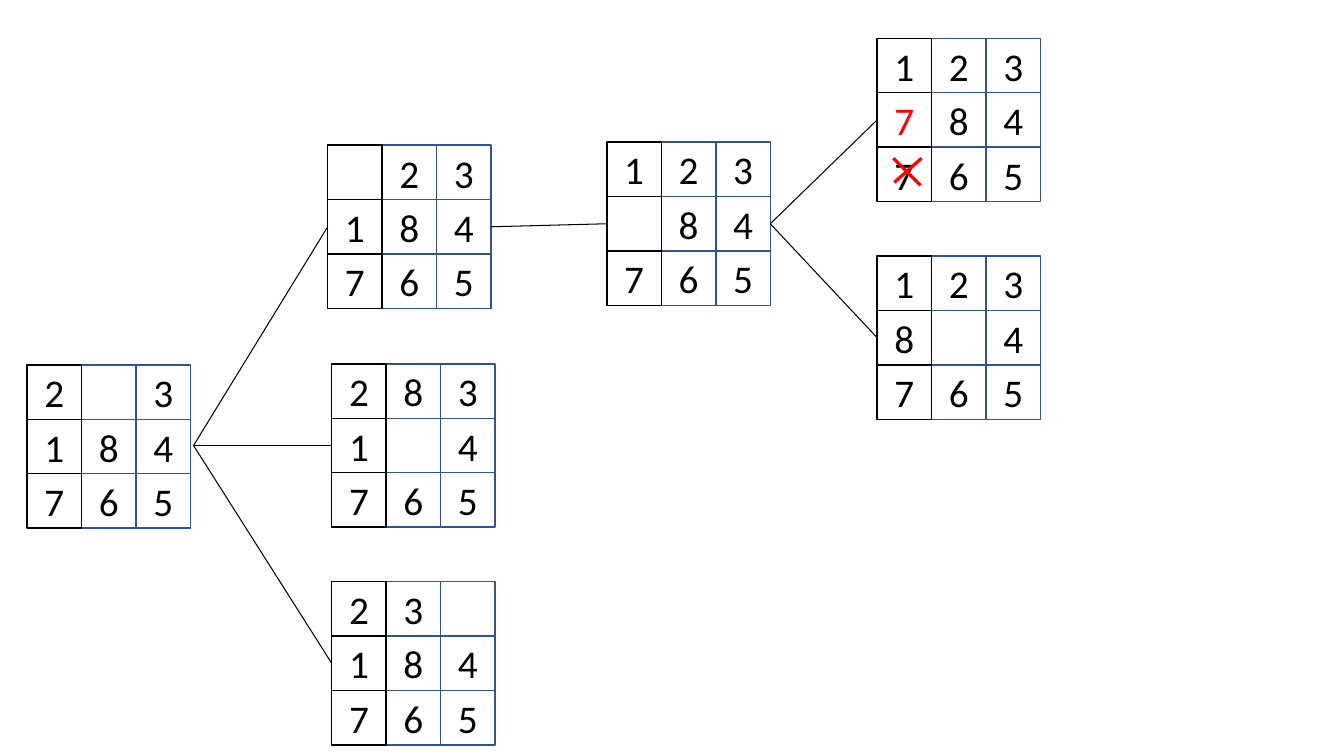
from lxml.etree import SubElement
from pptx import Presentation
from pptx.dml.color import RGBColor
from pptx.enum.shapes import MSO_CONNECTOR, MSO_SHAPE
from pptx.enum.text import MSO_ANCHOR, PP_ALIGN
from pptx.oxml.ns import qn
from pptx.util import Inches, Pt

BLACK = RGBColor(0x00, 0x00, 0x00)
WHITE = RGBColor(0xFF, 0xFF, 0xFF)
BLUE = RGBColor(0x31, 0x53, 0x8F)
RED = RGBColor(0xFF, 0x00, 0x00)

# Puzzle boards: name -> left, top, rows (a space is the empty cell)
BOARDS = {
    "start": (0.27, 3.62, ("2 3", "184", "765")),
    "blank left": (3.25, 1.44, (" 23", "184", "765")),
    "blank down": (3.29, 3.61, ("283", "1 4", "765")),
    "blank right": (3.29, 5.77, ("23 ", "184", "765")),
    "second move": (6.02, 1.41, ("123", " 84", "765")),
    "undone move": (8.7, 0.38, ("123", "784", "765")),
    "goal": (8.7, 2.54, ("123", "8 4", "765")),
}
MOVES = [
    ("start", "blank left"),
    ("start", "blank down"),
    ("start", "blank right"),
    ("blank left", "second move"),
    ("second move", "undone move"),
    ("second move", "goal"),
]
RED_CELL = ("undone move", 1, 0)
CROSS = [((8.86, 1.57), (9.13, 1.84)), ((9.14, 1.57), (8.87, 1.81))]

CELL = 0.54
START_EXIT = (1.92, 4.42)  # the first three moves leave from just beside the board
COLUMN_ORDER = (1, 0, 2)  # the left column's black border covers the middle one


def add_cell(group, x, y, digit, border, color):
    s = group.shapes.add_shape(MSO_SHAPE.RECTANGLE, Inches(x), Inches(y),
                               Inches(CELL), Inches(CELL))
    s.shadow.inherit = False
    s.fill.solid()
    s.fill.fore_color.rgb = WHITE
    s.line.color.rgb = border
    s.line.width = Pt(1)
    if digit != " ":
        tf = s.text_frame
        tf.text = digit
        tf.vertical_anchor = MSO_ANCHOR.MIDDLE
        p = tf.paragraphs[0]
        p.alignment = PP_ALIGN.CENTER
        font = p.runs[0].font
        font.name, font.size = "Calibri", Pt(28)
        font.color.rgb = color


def add_line(shapes, start, end, color, width):
    line = shapes.add_connector(MSO_CONNECTOR.STRAIGHT,
                                *(Inches(v) for v in start + end))
    line.line.color.rgb = color
    line.line.width = Pt(width)
    SubElement(line._element.spPr, qn("a:effectLst"))


prs = Presentation()
prs.slide_width, prs.slide_height = Inches(13.33), Inches(7.5)
slide = prs.slides.add_slide(prs.slide_layouts[6])

# Boards, one group each
for name, (left, top, rows) in BOARDS.items():
    group = slide.shapes.add_group_shape()
    for row, digits in enumerate(rows):
        for col in COLUMN_ORDER:
            add_cell(group, left + col * CELL, top + row * CELL, digits[col],
                     BLACK if col == 0 else BLUE,
                     RED if (name, row, col) == RED_CELL else BLACK)

# Moves, from the right of one board to the left of the next
for parent, child in MOVES:
    x1, y1, _ = BOARDS[parent]
    x2, y2, _ = BOARDS[child]
    exit_point = (x1 + 3 * CELL, y1 + 1.5 * CELL)
    add_line(slide.shapes, START_EXIT if parent == "start" else exit_point,
             (x2, y2 + 1.5 * CELL), BLACK, 0.75)

# Red cross over the undone tile
cross = slide.shapes.add_group_shape()
for start, end in CROSS:
    add_line(cross.shapes, start, end, RED, 2.25)

prs.save("out.pptx")
